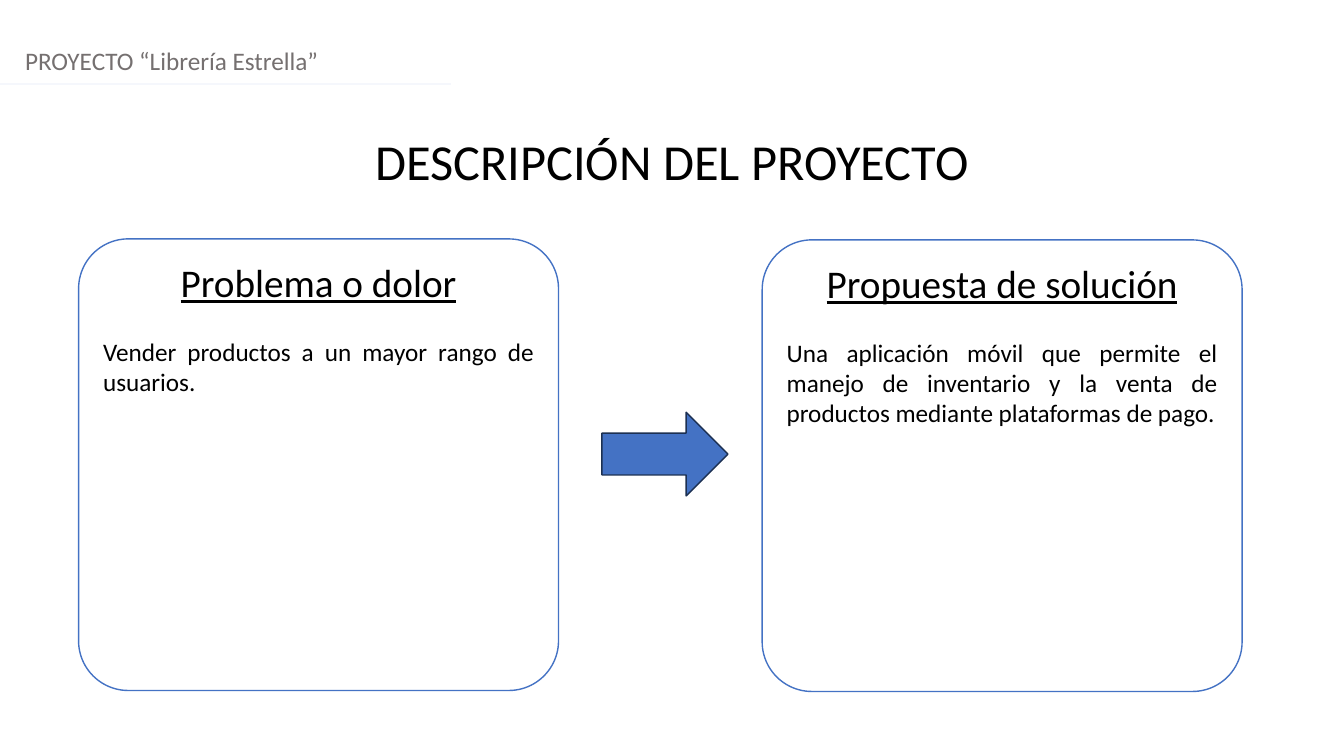
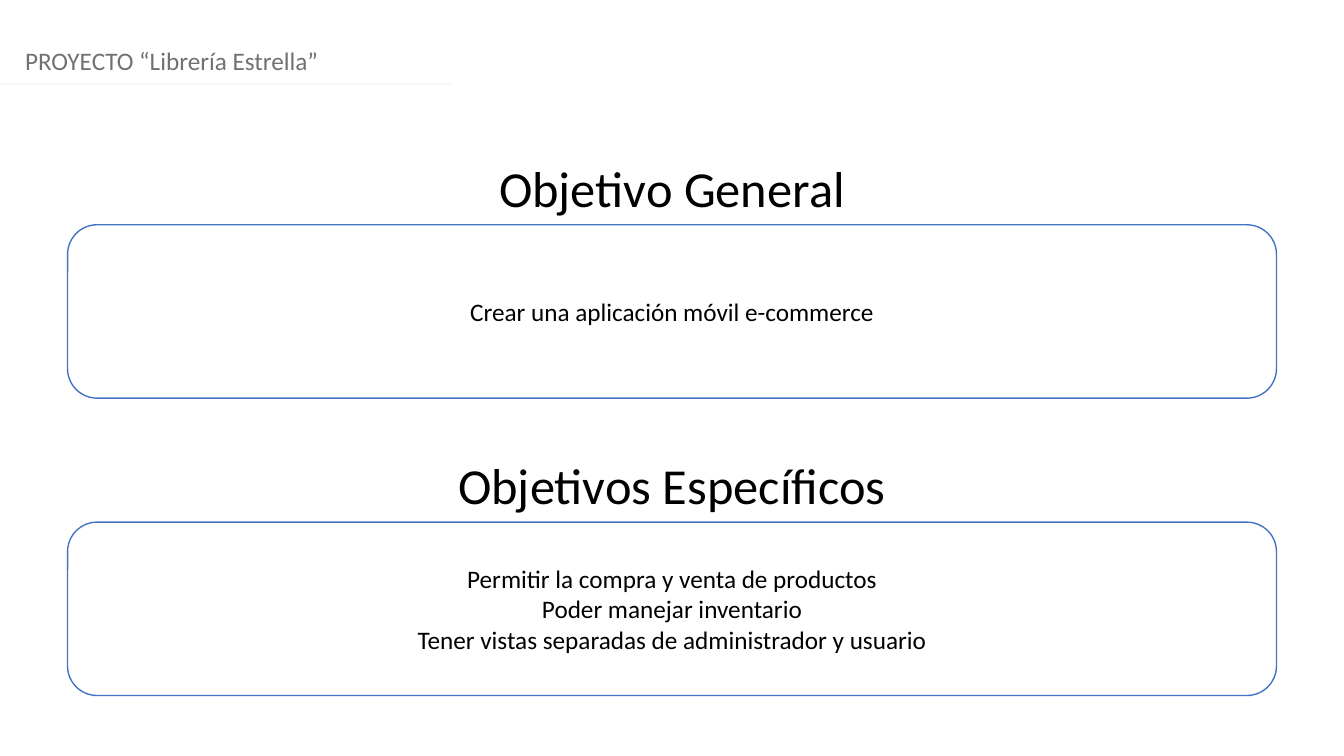
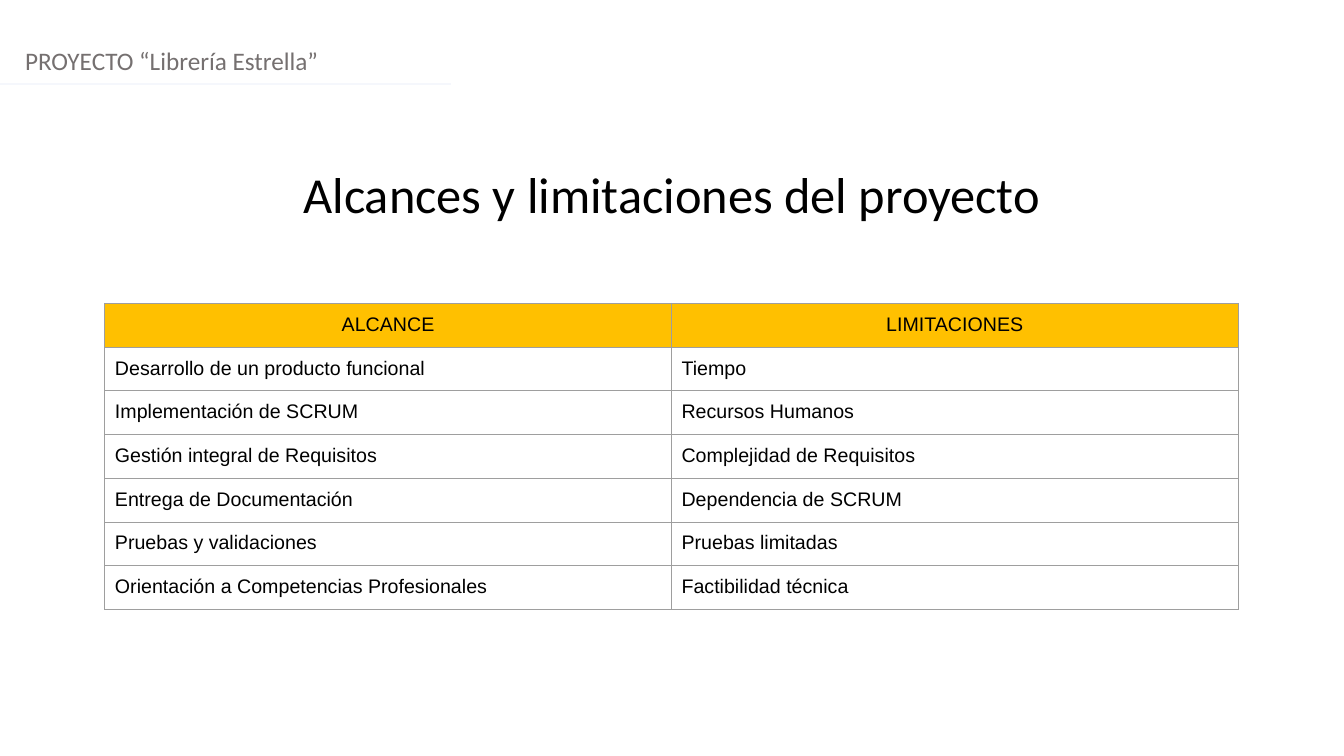
import pptx
import pptx.dml.color
import pptx.enum.shapes
import pptx.enum.text
import pptx.oxml
import pptx.oxml.ns
import pptx.util

Inches = pptx.util.Inches
Pt = pptx.util.Pt
RGBColor = pptx.dml.color.RGBColor
ALIGN = pptx.enum.text.PP_ALIGN
ANCHOR = pptx.enum.text.MSO_ANCHOR
SHAPE = pptx.enum.shapes.MSO_SHAPE

BLACK = RGBColor(0x00, 0x00, 0x00)
WHITE = RGBColor(0xFF, 0xFF, 0xFF)
GRAY = RGBColor(0x75, 0x70, 0x70)
PALE = RGBColor(0xF5, 0xF7, 0xFC)
BLUE = RGBColor(0x44, 0x72, 0xC4)
NAVY = RGBColor(0x1C, 0x30, 0x52)
AMBER = RGBColor(0xFF, 0xC0, 0x00)
BORDER = RGBColor(0x9E, 0x9E, 0x9E)

WIDTH, HEIGHT = 13.33, 7.5
TITLE_HEIGHT = 0.71


class Deck:
    """Builds the slides of the project deck in one shared style."""

    def __init__(self):
        self.presentation = pptx.Presentation()
        self.presentation.slide_width = Inches(WIDTH)
        self.presentation.slide_height = Inches(HEIGHT)
        self.slide = None

    def add_slide(self, title, title_top):
        layout = self.presentation.slide_layouts.get_by_name("Title Only")
        self.slide = self.presentation.slides.add_slide(layout)
        self.format_title(self.slide.shapes.title, title, title_top)
        self.add_header()

    def add_header(self):
        box = self.slide.shapes.add_textbox(Inches(0.15), Inches(0.4), Inches(WIDTH), Inches(0.4))
        box.text_frame.word_wrap = True
        self.set_text(box.text_frame.paragraphs[0], "PROYECTO “Librería Estrella”", 18, ALIGN.LEFT, GRAY)
        rule = self.slide.shapes.add_connector(
            pptx.enum.shapes.MSO_CONNECTOR.STRAIGHT,
            Inches(0), Inches(0.83), Inches(4.47), Inches(0.83))
        rule.line.color.rgb = PALE
        rule.line.width = Pt(1.25)
        rule._element.spPr.append(pptx.oxml.parse_xml(
            f"<a:effectLst {pptx.oxml.ns.nsdecls('a')}/>"))

    def add_subtitle(self, text, top):
        box = self.slide.shapes.add_textbox(
            Inches(0), Inches(top), Inches(WIDTH), Inches(TITLE_HEIGHT))
        self.format_title(box, text, top)

    def format_title(self, shape, text, top):
        shape.left, shape.top = Inches(0), Inches(top)
        shape.width, shape.height = Inches(WIDTH), Inches(TITLE_HEIGHT)
        frame = shape.text_frame
        frame.word_wrap = True
        frame.auto_size = pptx.enum.text.MSO_AUTO_SIZE.SHAPE_TO_FIT_TEXT
        frame.vertical_anchor = ANCHOR.TOP
        self.set_text(frame.paragraphs[0], text, 36, ALIGN.CENTER)

    def set_text(self, paragraph, text, size, alignment, color=BLACK, font="Calibri"):
        paragraph.text = text
        paragraph.alignment = alignment
        paragraph.font.name = font
        paragraph.font.size = Pt(size)
        paragraph.font.color.rgb = color

    def add_shape(self, kind, left, top, width, height, fill, line):
        shape = self.slide.shapes.add_shape(
            kind, Inches(left), Inches(top), Inches(width), Inches(height))
        shape.shadow.inherit = False
        shape.fill.solid()
        shape.fill.fore_color.rgb = fill
        shape.line.color.rgb = line
        shape.line.width = Pt(1)
        return shape

    def add_panel(self, left, top, width, height, rounding):
        panel = self.add_shape(SHAPE.ROUNDED_RECTANGLE, left, top, width, height, WHITE, BLUE)
        panel.adjustments[0] = rounding
        return panel.text_frame

    def add_card(self, left, top, heading, body):
        frame = self.add_panel(left, top, 4.76, 4.48, 0.11)
        frame.vertical_anchor = ANCHOR.TOP
        self.set_text(frame.paragraphs[0], heading, 28, ALIGN.CENTER)
        frame.paragraphs[0].font.underline = True
        paragraph = frame.add_paragraph()
        self.set_text(paragraph, body, 18, ALIGN.JUSTIFY)
        paragraph.space_before = Pt(22)

    def add_objectives(self, top, objectives):
        frame = self.add_panel(0.67, top, 11.99, 1.72, 0.17)
        frame.vertical_anchor = ANCHOR.MIDDLE
        for index, objective in enumerate(objectives):
            paragraph = frame.add_paragraph() if index else frame.paragraphs[0]
            self.set_text(paragraph, objective, 18, ALIGN.CENTER)

    def add_arrow(self, left, top, width, height):
        self.add_shape(SHAPE.RIGHT_ARROW, left, top, width, height, BLUE, NAVY)

    def add_table(self, left, top, width, row_height, rows):
        table = self.slide.shapes.add_table(
            len(rows), len(rows[0]), Inches(left), Inches(top),
            Inches(width), Inches(row_height * len(rows))).table
        table.horz_banding = False
        for row_index, row in enumerate(rows):
            for column_index, text in enumerate(row):
                self.format_cell(table.cell(row_index, column_index), text, row_index == 0)

    def format_cell(self, cell, text, is_header):
        cell.margin_left = cell.margin_right = Inches(0.1)
        cell.margin_top = cell.margin_bottom = Inches(0.1)
        paragraph = cell.text_frame.paragraphs[0]
        alignment = ALIGN.CENTER if is_header else ALIGN.LEFT
        self.set_text(paragraph, text, 14, alignment, font="Arial")
        paragraph.font.bold = False
        if is_header:
            cell.fill.solid()
            cell.fill.fore_color.rgb = AMBER
        else:
            cell.fill.background()
        properties = cell._tc.get_or_add_tcPr()
        for index, side in enumerate(("lnL", "lnR", "lnT", "lnB")):
            properties.insert(index, pptx.oxml.parse_xml(
                f"<a:{side} {pptx.oxml.ns.nsdecls('a')} w='{Pt(0.75)}'>"
                f"<a:solidFill><a:srgbClr val='{BORDER}'/></a:solidFill></a:{side}>"))


def main():
    deck = Deck()

    deck.add_slide("DESCRIPCIÓN DEL PROYECTO", 1.24)
    deck.add_card(0.78, 2.37, "Problema o dolor", "Vender productos a un mayor rango de usuarios.")
    deck.add_card(
        7.56, 2.38, "Propuesta de solución",
        "Una aplicación móvil que permite el manejo de inventario y la venta de productos "
        "mediante plataformas de pago.")
    deck.add_arrow(5.97, 4.09, 1.25, 0.83)

    deck.add_slide("Objetivo General", 1.51)
    deck.add_objectives(2.23, ["Crear una aplicación móvil e-commerce"])
    deck.add_subtitle("Objetivos Específicos", 4.46)
    deck.add_objectives(5.18, [
        "Permitir la compra y venta de productos",
        "Poder manejar inventario",
        "Tener vistas separadas de administrador y usuario",
    ])

    deck.add_slide("Alcances y limitaciones del proyecto", 1.57)
    deck.add_table(1.04, 3.01, 11.24, 0.42, [
        ("ALCANCE", "LIMITACIONES"),
        ("Desarrollo de un producto funcional", "Tiempo"),
        ("Implementación de SCRUM", "Recursos Humanos"),
        ("Gestión integral de Requisitos", "Complejidad de Requisitos"),
        ("Entrega de Documentación", "Dependencia de SCRUM"),
        ("Pruebas y validaciones", "Pruebas limitadas"),
        ("Orientación a Competencias Profesionales", "Factibilidad técnica"),
    ])

    deck.presentation.save("out.pptx")


if __name__ == "__main__":
    main()
